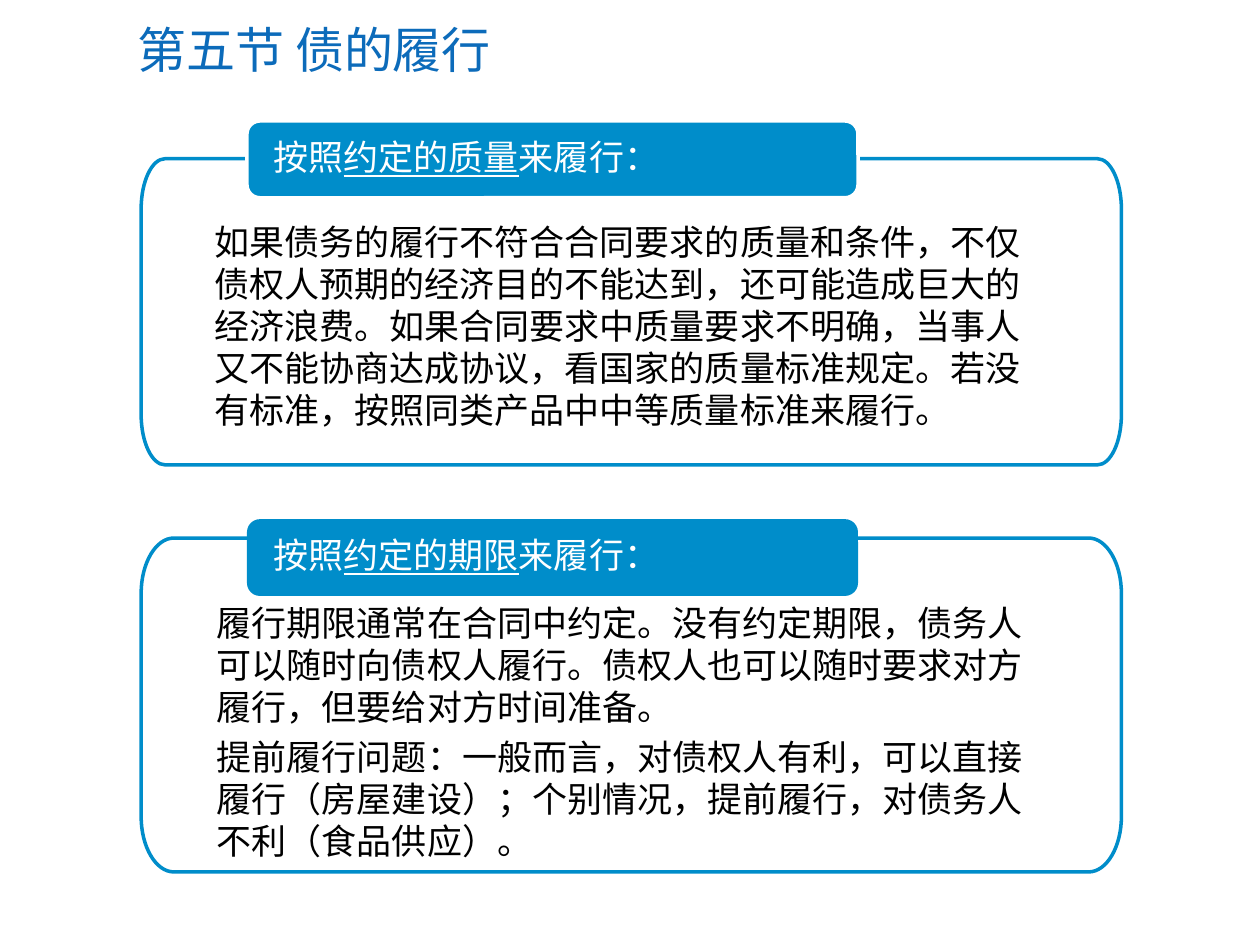
from lxml import etree
from pptx import Presentation
from pptx.dml.color import RGBColor
from pptx.enum import shapes, text
from pptx.oxml import ns
from pptx.util import Inches, Pt

TITLE_BLUE = RGBColor(0x0C, 0x6B, 0xBA)
BLUE = RGBColor(0x00, 0x8D, 0xCA)
WHITE = RGBColor(0xFF, 0xFF, 0xFF)
BLACK = RGBColor(0x00, 0x00, 0x00)

LEFT, WIDTH = 1.12, 7.78
TAB_LEFT, TAB_WIDTH, TAB_HEIGHT = 1.96, 4.85, 0.61
ARC_PULL = 0.55  # Bezier handle length of a quarter ellipse

# panel top, height, corner radii, text insets (side, top, bottom),
# tab top, tab outline, underlined words, paragraphs
SECTIONS = [
    (1.26, 2.43, (0.19, 0.4), (0.58, 0.49, 0.2), 0.96, WHITE, "约定的质量",
     ["如果债务的履行不符合合同要求的质量和条件，不仅债权人预期的经济目的不能达到，还可能造成巨大的经济浪费。"
      "如果合同要求中质量要求不明确，当事人又不能协商达成协议，看国家的质量标准规定。"
      "若没有标准，按照同类产品中中等质量标准来履行。"]),
    (4.27, 2.65, (0.26, 0.44), (0.6, 0.5, 0.21), 4.12, None, "约定的期限",
     ["履行期限通常在合同中约定。没有约定期限，债务人可以随时向债权人履行。"
      "债权人也可以随时要求对方履行，但要给对方时间准备。",
      "提前履行问题：一般而言，对债权人有利，可以直接履行（房屋建设）；"
      "个别情况，提前履行，对债务人不利（食品供应）。"]),
]


def style_run(run, size, color):
    run.font.name = "Calibri"
    run.font.size = Pt(size)
    run.font.color.rgb = color


def add_panel(left, top, width, height, rx, ry):
    """Add a rectangle whose corners are quarter ellipses."""
    right, bottom = left + width, top + height
    points = [(left, top + ry), (left + rx, top),
              (right - rx, top), (right, top + ry),
              (right, bottom - ry), (right - rx, bottom),
              (left + rx, bottom), (left, bottom - ry)]
    points = [(Inches(x), Inches(y)) for x, y in points]
    corners = [(x, y) for y in (top, bottom) for x in (left, right)]
    corners[2:] = corners[:1:-1]
    builder = slide.shapes.build_freeform(*points[0])
    builder.add_line_segments(points[1:], close=True)
    panel = builder.convert_to_shape()

    # Every second segment, starting with the first, rounds a corner.
    chamfers = list(panel._element.iter(ns.qn("a:lnTo")))[::2]
    for chamfer, start, end, corner in zip(
            chamfers, points[::2], points[1::2], corners):
        curve = etree.Element(ns.qn("a:cubicBezTo"))
        for x, y in (start, end):
            handle_x = x + ARC_PULL * (Inches(corner[0]) - x)
            handle_y = y + ARC_PULL * (Inches(corner[1]) - y)
            etree.SubElement(curve, ns.qn("a:pt"),
                             x=str(round(handle_x - Inches(left))),
                             y=str(round(handle_y - Inches(top))))
        curve.append(chamfer[0])
        chamfer.getparent().replace(chamfer, curve)
    return panel


prs = Presentation()
prs.slide_width, prs.slide_height = Inches(10), Inches(7.5)
slide = prs.slides.add_slide(prs.slide_layouts[5])

title = slide.shapes.title
title.left, title.top = Inches(0.99), Inches(0.1)
title.width, title.height = Inches(8.72), Inches(0.58)
title.text_frame.text = "第五节 债的履行"
title.text_frame.vertical_anchor = text.MSO_ANCHOR.MIDDLE
heading = title.text_frame.paragraphs[0]
heading.alignment = text.PP_ALIGN.LEFT
style_run(heading.runs[0], 28, TITLE_BLUE)

for (top, height, radii, insets, tab_top, tab_outline, key_words,
     paragraphs) in SECTIONS:
    panel = add_panel(LEFT, top, WIDTH, height, *radii)
    panel.shadow.inherit = False
    panel.fill.solid()
    panel.fill.fore_color.rgb = WHITE
    white_fill = panel._element.spPr.find(ns.qn("a:solidFill"))[0]
    etree.SubElement(white_fill, ns.qn("a:alpha"), val="90000")
    panel.line.color.rgb = BLUE
    panel.line.width = Pt(2)

    body = panel.text_frame
    body.word_wrap = True
    body.vertical_anchor = text.MSO_ANCHOR.TOP
    side, above, below = insets
    body.margin_left = body.margin_right = Inches(side)
    body.margin_top, body.margin_bottom = Inches(above), Inches(below)
    body.text = "\n".join(paragraphs)
    for index, paragraph in enumerate(body.paragraphs):
        paragraph.alignment = text.PP_ALIGN.LEFT
        if index:
            paragraph.space_before = Pt(5)
        style_run(paragraph.runs[0], 20, BLACK)

    tab = slide.shapes.add_shape(
        shapes.MSO_SHAPE.ROUNDED_RECTANGLE, Inches(TAB_LEFT), Inches(tab_top),
        Inches(TAB_WIDTH), Inches(TAB_HEIGHT))
    tab.adjustments[0] = 0.17
    tab.shadow.inherit = False
    tab.fill.solid()
    tab.fill.fore_color.rgb = BLUE
    if tab_outline is None:
        tab.line.fill.background()
    else:
        tab.line.color.rgb = tab_outline
        tab.line.width = Pt(2)

    label = tab.text_frame
    label.word_wrap = True
    label.vertical_anchor = text.MSO_ANCHOR.MIDDLE
    label.margin_left = label.margin_right = Inches(0.18)
    label.margin_top = label.margin_bottom = Inches(0)
    line = label.paragraphs[0]
    line.alignment = text.PP_ALIGN.LEFT
    line.line_spacing = 0.9
    line.space_after = Pt(8.8)
    for words in ("按照", key_words, "来履行："):
        run = line.add_run()
        run.text = words
        style_run(run, 20, WHITE)
        run.font.underline = words == key_words

prs.save("out.pptx")
